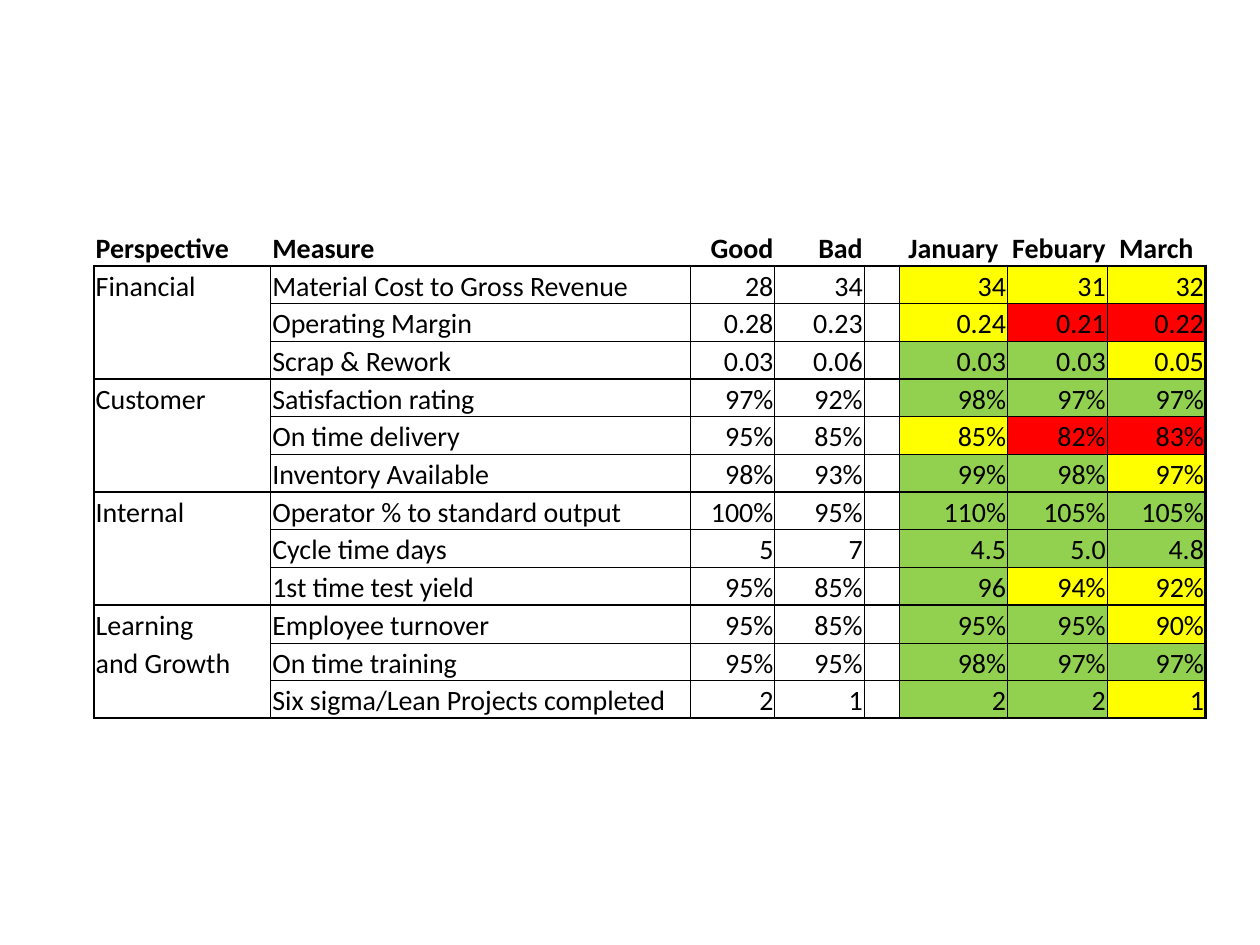
from lxml import etree
from pptx import Presentation
from pptx.dml.color import RGBColor
from pptx.enum.text import MSO_ANCHOR, PP_ALIGN
from pptx.oxml.ns import qn
from pptx.util import Cm, Pt

LEFT, CENTER, RIGHT = PP_ALIGN.LEFT, PP_ALIGN.CENTER, PP_ALIGN.RIGHT
BOTTOM = MSO_ANCHOR.BOTTOM
BLACK = RGBColor(0x00, 0x00, 0x00)
GREEN = RGBColor(0x92, 0xD0, 0x50)
YELLOW = RGBColor(0xFF, 0xFF, 0x00)
RED = RGBColor(0xFF, 0x00, 0x00)
STATUS_COLORS = {"G": GREEN, "Y": YELLOW, "R": RED}

THIN, THICK = Pt(0.5), Pt(1.5)
GROUP_SIZE = 3
FIRST_MONTH = 5
ROW_HEIGHT = 0.76
COLUMN_WIDTHS = [3.56, 8.46, 1.7, 1.8, 0.71, 2.18, 2.01, 1.98]
LAST_COLUMN = len(COLUMN_WIDTHS) - 1

HEADERS = ["Perspective", "Measure", "Good", "Bad", "", "January", "Febuary", "March"]
HEADER_ALIGNMENTS = [LEFT, LEFT, RIGHT, RIGHT, RIGHT, CENTER, RIGHT, CENTER]
BODY_ALIGNMENTS = [LEFT, LEFT] + [RIGHT] * 6

MEASURES = [
    ("Financial", "Material Cost to Gross Revenue", "28", "34", "34", "31", "32", "YYY"),
    ("", "Operating Margin", "0.28", "0.23", "0.24", "0.21", "0.22", "YRR"),
    ("", "Scrap & Rework", "0.03", "0.06", "0.03", "0.03", "0.05", "GGY"),
    ("Customer", "Satisfaction rating", "97%", "92%", "98%", "97%", "97%", "GGG"),
    ("", "On time delivery", "95%", "85%", "85%", "82%", "83%", "YRR"),
    ("", "Inventory Available", "98%", "93%", "99%", "98%", "97%", "GGY"),
    ("Internal", "Operator % to standard output", "100%", "95%", "110%", "105%", "105%", "GGG"),
    ("", "Cycle time days", "5", "7", "4.5", "5.0", "4.8", "GGG"),
    ("", "1st time test yield", "95%", "85%", "96", "94%", "92%", "GYY"),
    ("Learning", "Employee turnover", "95%", "85%", "95%", "95%", "90%", "GGY"),
    ("and Growth", "On time training", "95%", "95%", "98%", "97%", "97%", "GGG"),
    ("", "Six sigma/Lean Projects completed", "2", "1", "2", "2", "1", "GGY"),
]


def set_borders(cell, left=None, right=None, top=None, bottom=None):
    properties = cell._tc.get_or_add_tcPr()
    for tag, width in (("lnL", left), ("lnR", right), ("lnT", top), ("lnB", bottom)):
        line = etree.SubElement(properties, qn(f"a:{tag}"))
        if width is None:
            etree.SubElement(line, qn("a:noFill"))
            continue
        line.set("w", str(width))
        fill = etree.SubElement(line, qn("a:solidFill"))
        etree.SubElement(fill, qn("a:srgbClr"), val=str(BLACK))


def body_borders(row, column):
    group_start = row % GROUP_SIZE == 0
    group_end = row % GROUP_SIZE == GROUP_SIZE - 1
    inner = None if column == 0 else THIN
    return {
        "left": THICK if column == 0 else THIN,
        "right": THICK if column == LAST_COLUMN else THIN,
        "top": THICK if group_start else inner,
        "bottom": THICK if group_end else inner,
    }


def fill_cell(cell, text, alignment, color=None, bold=False):
    cell.margin_left = cell.margin_right = cell.margin_top = Cm(0.03)
    cell.margin_bottom = 0
    cell.vertical_anchor = BOTTOM
    if color is None:
        cell.fill.background()
    else:
        cell.fill.solid()
        cell.fill.fore_color.rgb = color
    cell.text = text
    paragraph = cell.text_frame.paragraphs[0]
    paragraph.alignment = alignment
    font = paragraph.font
    font.name = "Calibri"
    font.size = Pt(16)
    font.bold = bold
    font.color.rgb = BLACK


def add_scorecard(slide):
    row_count = len(MEASURES) + 1
    frame = slide.shapes.add_table(
        row_count, len(COLUMN_WIDTHS), Cm(1.9), Cm(4.6),
        Cm(sum(COLUMN_WIDTHS)), Cm(ROW_HEIGHT * row_count))
    table = frame.table
    table.first_row = False
    table.horz_banding = False
    for column, width in zip(table.columns, COLUMN_WIDTHS):
        column.width = Cm(width)
    for row in table.rows:
        row.height = Cm(ROW_HEIGHT)

    for column, (header, alignment) in enumerate(zip(HEADERS, HEADER_ALIGNMENTS)):
        cell = table.cell(0, column)
        set_borders(cell, bottom=THICK)
        fill_cell(cell, header, alignment, bold=True)

    for row, (perspective, measure, good, bad, *months, statuses) in enumerate(MEASURES):
        texts = [perspective, measure, good, bad, "", *months]
        colors = [None] * FIRST_MONTH + [STATUS_COLORS[status] for status in statuses]
        for column, text in enumerate(texts):
            cell = table.cell(row + 1, column)
            set_borders(cell, **body_borders(row, column))
            fill_cell(cell, text, BODY_ALIGNMENTS[column], colors[column])


def main():
    presentation = Presentation()
    presentation.slide_width = Cm(25.4)
    presentation.slide_height = Cm(19.05)
    slide = presentation.slides.add_slide(presentation.slide_layouts[6])
    add_scorecard(slide)
    presentation.save("out.pptx")


if __name__ == "__main__":
    main()
